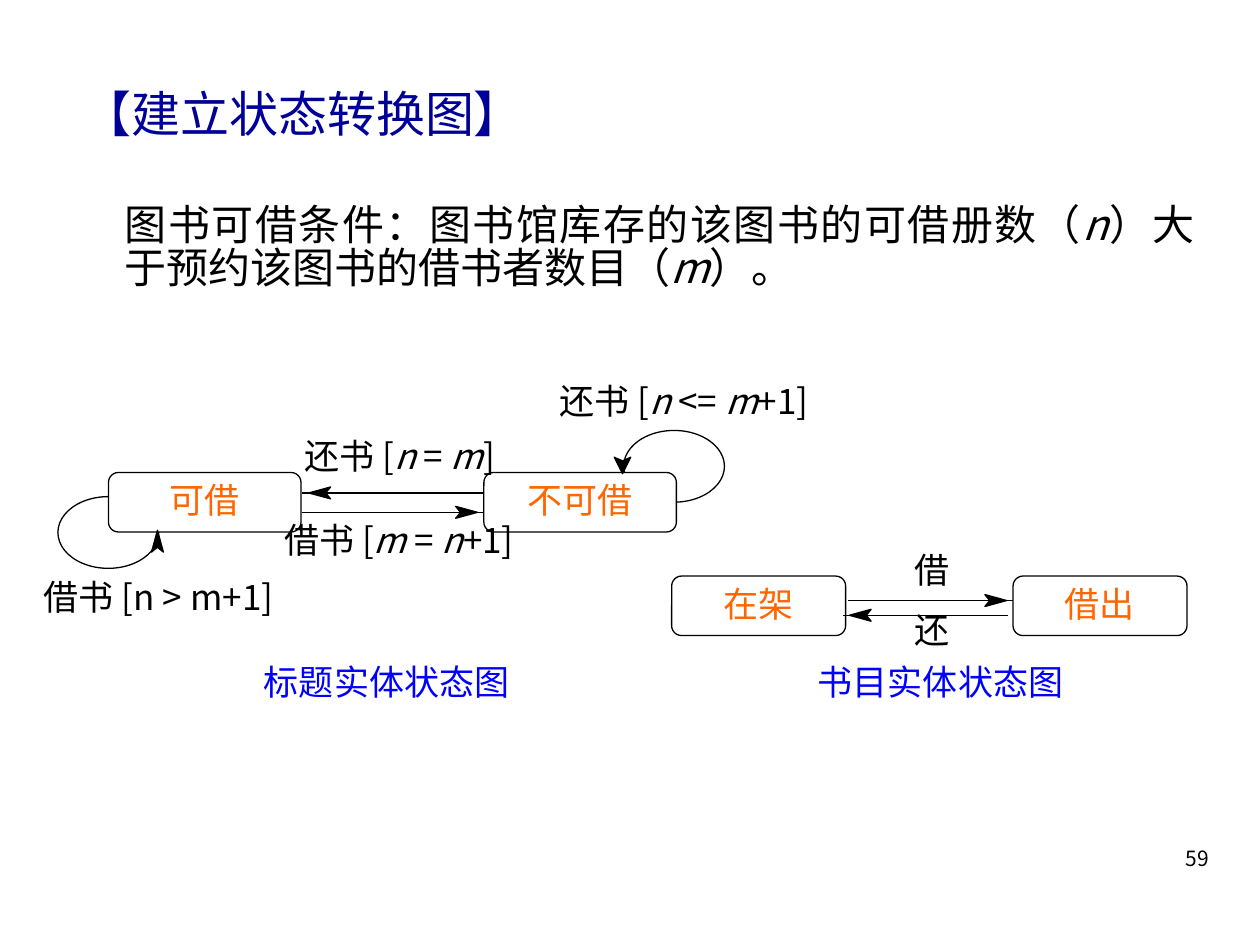
import pptx
import pptx.util
import pptx.dml.color
import pptx.enum.shapes
import pptx.enum.text
import pptx.oxml
import pptx.oxml.ns
import math

Pt = pptx.util.Pt
ALIGN = pptx.enum.text.PP_ALIGN
ANCHOR = pptx.enum.text.MSO_ANCHOR
SHAPE = pptx.enum.shapes.MSO_SHAPE
FONT = "Noto Sans CJK SC"
COLORS = {
    "heading": "000099",
    "text": "000000",
    "state": "FF6600",
    "caption": "0000FF",
    "line": "000000",
    "box": "FFFFFF",
}


def rgb(name):
    return pptx.dml.color.RGBColor.from_string(COLORS[name])


def write(frame, text, size=20, color="text", align=ALIGN.CENTER, anchor=ANCHOR.TOP,
          spacing=0.9, indent=0, wrap=True):
    """Fill a text frame; parts of the text between asterisks are italic."""
    frame.word_wrap = wrap
    frame.auto_size = pptx.enum.text.MSO_AUTO_SIZE.NONE
    frame.vertical_anchor = anchor
    paragraph = frame.paragraphs[0]
    properties = paragraph._p.get_or_add_pPr()
    properties.set("marL", str(Pt(indent)))
    properties.set("indent", "0")
    properties.append(pptx.oxml.parse_xml(
        f'<a:buNone {pptx.oxml.ns.nsdecls("a")}/>'))
    paragraph.alignment = align
    paragraph.line_spacing = spacing
    paragraph.space_before = Pt(0)
    for position, part in enumerate(text.split("*")):
        run = paragraph.add_run()
        run.text = part
        run.font.size = Pt(size)
        run.font.name = FONT
        run.font.italic = position % 2 == 1
        run.font.color.rgb = rgb(color)
        run.font._element.append(pptx.oxml.parse_xml(
            f'<a:ea {pptx.oxml.ns.nsdecls("a")} typeface="{FONT}"/>'))


def fill_placeholder(placeholder, text, left, top, width, height, **style):
    placeholder.left, placeholder.top = Pt(left), Pt(top)
    placeholder.width, placeholder.height = Pt(width), Pt(height)
    write(placeholder.text_frame, text, **style)


def add_label(slide, text, left, top, width, height=36, **style):
    label = slide.shapes.add_textbox(Pt(left), Pt(top), Pt(width), Pt(height))
    write(label.text_frame, text, **style)


def paint(shape, fill):
    shape.shadow.inherit = False
    shape.fill.solid()
    shape.fill.fore_color.rgb = rgb(fill)
    shape.line.color.rgb = rgb("line")
    shape.line.width = Pt(0.75)


def add_loop(slide, left, top):
    """Draw the ellipse of a self-transition; a state box covers one quarter."""
    loop = slide.shapes.add_shape(SHAPE.OVAL, Pt(left), Pt(top), Pt(57.6), Pt(41))
    paint(loop, "box")


def add_state(slide, text, left, top, width):
    state = slide.shapes.add_shape(
        SHAPE.ROUNDED_RECTANGLE, Pt(left), Pt(top), Pt(width), Pt(34))
    paint(state, "box")
    write(state.text_frame, text, color="state", anchor=ANCHOR.MIDDLE)


def add_dart(slide, x, y, angle, length=12.5, half_width=3.4):
    """Draw a notched arrowhead with its tip at x, y; angle 0 points right."""
    cos, sin = math.cos(math.radians(angle)), math.sin(math.radians(angle))
    outline = [(0, 0), (-length, -half_width), (-0.78 * length, 0), (-length, half_width)]
    corners = [(Pt(x + dx * cos - dy * sin), Pt(y + dx * sin + dy * cos))
               for dx, dy in outline]
    builder = slide.shapes.build_freeform(*corners[0], scale=1.0)
    builder.add_line_segments(corners[1:], close=True)
    paint(builder.convert_to_shape(), "line")


def add_transition(slide, start, end, y, gap):
    """Draw a horizontal line with a dart whose tip stops a gap before the end."""
    line = slide.shapes.add_connector(
        pptx.enum.shapes.MSO_CONNECTOR.STRAIGHT, Pt(start), Pt(y), Pt(end), Pt(y))
    line.line.color.rgb = rgb("line")
    line.line.width = Pt(0.75)
    line._element.spPr.append(pptx.oxml.parse_xml(
        f'<a:effectLst {pptx.oxml.ns.nsdecls("a")}/>'))
    if end > start:
        add_dart(slide, end - gap, y, 0)
    else:
        add_dart(slide, end + gap, y, 180)


def draw_title_states(slide):
    add_loop(slide, 356.4, 246)
    add_loop(slide, 33.1, 283.8)
    add_state(slide, "可借", 62, 270, 110)
    add_state(slide, "不可借", 276.5, 270, 110)
    add_label(slide, "还书 [*n* <= *m*+1]", 302.4, 216, 177)
    add_label(slide, "借书 [n > m+1]", 18, 328.3, 155, align=ALIGN.LEFT)
    add_label(slide, "还书 [*n* =* m*]", 162, 247.7, 133)
    add_label(slide, "借书 [*m* =* n*+1]", 150.5, 295.2, 155)
    add_transition(slide, 276.5, 172.8, 281.7, 3.6)
    add_transition(slide, 172.8, 276.5, 292.8, 3.6)
    add_dart(slide, 90, 303, 270)
    add_dart(slide, 355.7, 270.7, 90, length=9.4, half_width=4.7)
    add_label(slide, "标题实体状态图", 41, 376.6, 360, color="caption")


def draw_copy_states(slide):
    add_state(slide, "在架", 383.8, 329.2, 99.4)
    add_state(slide, "借出", 578.9, 329.2, 99.4)
    add_label(slide, "借", 508.3, 312.5, 48.2, 31.7)
    add_label(slide, "还", 508.3, 347, 48.2, 31.7)
    add_transition(slide, 484.6, 578.9, 343.2, 3.6)
    add_transition(slide, 576, 481.7, 351.6, 3.6)
    add_label(slide, "书目实体状态图", 425.5, 376.6, 224, 31.7, color="caption")


def main():
    deck = pptx.Presentation()
    deck.slide_width, deck.slide_height = Pt(720), Pt(540)
    slide = deck.slides.add_slide(deck.slide_layouts[1])
    heading, condition = slide.placeholders
    fill_placeholder(heading, "【建立状态转换图】", 18, 48.2, 660, 50,
                     size=28, color="heading", align=ALIGN.LEFT, indent=22)
    fill_placeholder(
        condition,
        "图书可借条件：图书馆库存的该图书的可借册数（*n*）大于预约该图书的借书者数目（*m*）。",
        41.8, 114.3, 648, 76, size=24, align=ALIGN.JUSTIFY, spacing=0.85, indent=22.3)
    draw_copy_states(slide)
    draw_title_states(slide)
    add_label(slide, "59", 670.3, 481, 29.5, 21.6, size=12, align=ALIGN.LEFT, wrap=False)
    deck.save("out.pptx")


if __name__ == "__main__":
    main()
